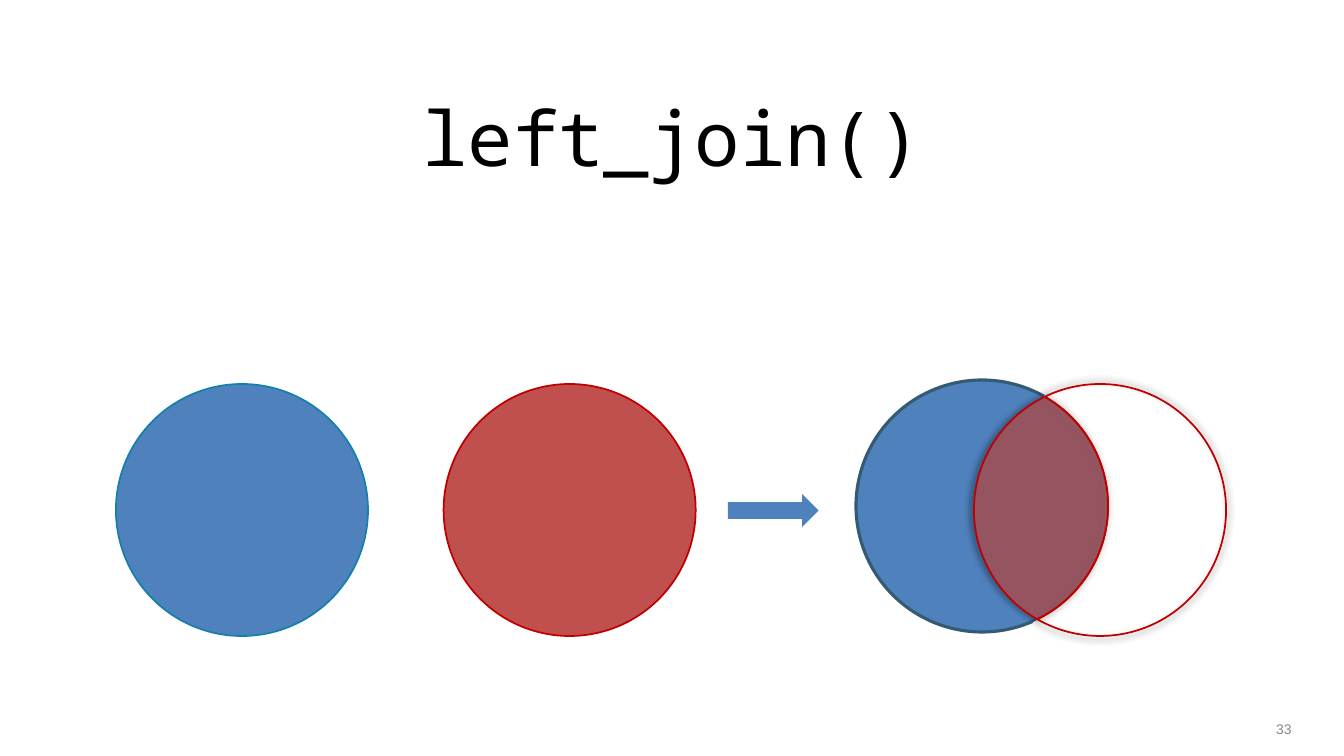
import dataclasses
import math
import typing

import pptx
import pptx.dml.color
import pptx.enum.shapes
import pptx.enum.text
import pptx.oxml
import pptx.oxml.ns
import pptx.util

Inches = pptx.util.Inches
Preset = pptx.enum.shapes.MSO_SHAPE
Align = pptx.enum.text.PP_ALIGN
Point = typing.Tuple[float, float]


@dataclasses.dataclass(frozen=True)
class Theme:
    blue: str = "4F81BD"
    teal: str = "1580A9"
    slate: str = "335B74"
    red: str = "C0504D"
    dark_red: str = "C00000"
    white: str = "FFFFFF"
    black: str = "000000"
    grey: str = "888888"
    title_font: str = "Noto Sans Mono"
    body_font: str = "Arial"
    title_size: float = 54
    number_size: float = 10
    thin: float = 1.25
    thick: float = 2.25


@dataclasses.dataclass(frozen=True)
class Shadow:
    blur: float
    distance: float
    direction: int
    scale: int
    alignment: str


@dataclasses.dataclass(frozen=True)
class Style:
    fill: typing.Optional[str] = None
    line: typing.Optional[str] = None
    width: float = 1.25
    opacity: int = 100
    shadow: typing.Optional[Shadow] = None


@dataclasses.dataclass(frozen=True)
class Circle:
    x: float
    y: float
    radius: float

    def at(self, angle: float, outward: float = 0) -> Point:
        cosine, sine = math.cos(angle), math.sin(angle)
        return (self.x + self.radius * (cosine - outward * sine),
                self.y + self.radius * (sine + outward * cosine))


THEME = Theme()
CENTRE_SHADOW = Shadow(blur=5, distance=0, direction=0, scale=102, alignment="ctr")
LEFT_SHADOW = Shadow(blur=4, distance=3, direction=180, scale=100, alignment="r")


def rgb(value: str) -> pptx.dml.color.RGBColor:
    return pptx.dml.color.RGBColor.from_string(value)


def element(body: str):
    return pptx.oxml.parse_xml(body.replace(" ", f' {pptx.oxml.ns.nsdecls("a")} ', 1))


def add_shadow(shape, shadow: Shadow) -> None:
    effects = shape._element.spPr.find(pptx.oxml.ns.qn("a:effectLst"))
    effects.append(element(
        f'<a:outerShdw blurRad="{pptx.util.Pt(shadow.blur)}" '
        f'dist="{pptx.util.Pt(shadow.distance)}" dir="{shadow.direction * 60000}" '
        f'sx="{shadow.scale * 1000}" sy="{shadow.scale * 1000}" '
        f'algn="{shadow.alignment}" rotWithShape="0">'
        f'<a:srgbClr val="{THEME.black}"><a:alpha val="40000"/></a:srgbClr>'
        '</a:outerShdw>'))


def apply_style(shape, style: Style) -> None:
    shape.shadow.inherit = False
    if style.fill:
        shape.fill.solid()
        shape.fill.fore_color.rgb = rgb(style.fill)
        if style.opacity < 100:
            color = shape.fill._xPr.find(".//" + pptx.oxml.ns.qn("a:srgbClr"))
            color.append(element(f'<a:alpha val="{style.opacity * 1000}"/>'))
    else:
        shape.fill.background()
    if style.line:
        shape.line.color.rgb = rgb(style.line)
        shape.line.width = pptx.util.Pt(style.width)
    else:
        shape.line.fill.background()
    if style.shadow:
        add_shadow(shape, style.shadow)


def add_preset(shapes, preset: Preset, left: float, top: float,
               width: float, height: float, style: Style) -> None:
    shape = shapes.add_shape(preset, Inches(left), Inches(top), Inches(width), Inches(height))
    apply_style(shape, style)


def add_circle(shapes, circle: Circle, style: Style) -> None:
    size = 2 * circle.radius
    add_preset(shapes, Preset.OVAL, circle.x - circle.radius, circle.y - circle.radius,
               size, size, style)


def arc(circle: Circle, start: float, end: float) -> typing.List[Point]:
    quarter = math.pi / 2
    low, high = sorted((start, end))
    turns = [step * quarter for step in range(math.ceil(low / quarter),
                                              math.floor(high / quarter) + 1)]
    angles = sorted([start, *turns, end], reverse=start > end)
    points = []
    for first, last in zip(angles, angles[1:]):
        handle = 4 / 3 * math.tan((last - first) / 4)
        points += [circle.at(first, handle), circle.at(last, -handle), circle.at(last)]
    return points


def crossing(circle: Circle, other: Circle) -> typing.Tuple[float, float]:
    distance = math.hypot(other.x - circle.x, other.y - circle.y)
    direction = math.atan2(other.y - circle.y, other.x - circle.x)
    cosine = (distance ** 2 + circle.radius ** 2 - other.radius ** 2) / (
        2 * distance * circle.radius)
    return direction, math.acos(cosine)


def overlap_outline(left: Circle, right: Circle, crescent: bool) -> typing.List[Point]:
    direction, left_half = crossing(left, right)
    right_half = crossing(right, left)[1]
    facing = direction + math.pi
    if crescent:
        left_half = -left_half
        sweep = (facing + right_half, facing + 2 * math.pi - right_half)
    else:
        sweep = (facing - right_half, facing + right_half)
    return (arc(left, direction - left_half, direction + left_half)
            + arc(right, *sweep))


def add_outline(shapes, points: typing.List[Point], style: Style) -> None:
    corners = [(Inches(x), Inches(y)) for x, y in points]
    builder = shapes.build_freeform(*corners[-1], scale=1.0)
    builder.add_line_segments(corners, close=True)
    shape = builder.convert_to_shape()
    lines = list(shape._element.iter(pptx.oxml.ns.qn("a:lnTo")))
    for index in range(0, len(lines), 3):
        curve = element("<a:cubicBezTo />")
        lines[index].addprevious(curve)
        for line in lines[index:index + 3]:
            curve.append(line[0])
            line.getparent().remove(line)
    apply_style(shape, style)


def add_text(slide, text: str, *, left: float, top: float, width: float, height: float,
             font: str, size: float, color: str, align: Align, margin: float) -> None:
    frame = slide.shapes.add_textbox(
        Inches(left), Inches(top), Inches(width), Inches(height)).text_frame
    frame.word_wrap = True
    frame.vertical_anchor = pptx.enum.text.MSO_ANCHOR.MIDDLE
    frame.margin_left = frame.margin_right = Inches(margin)
    frame.margin_top = frame.margin_bottom = Inches(margin / 2)
    paragraph = frame.paragraphs[0]
    paragraph.alignment = align
    run = paragraph.add_run()
    run.text = text
    run.font.name = font
    run.font.size = pptx.util.Pt(size)
    run.font.color.rgb = rgb(color)


def main() -> None:
    presentation = pptx.Presentation()
    presentation.slide_width, presentation.slide_height = Inches(13.33), Inches(7.5)
    slide = presentation.slides.add_slide(presentation.slide_layouts[6])
    shapes = slide.shapes

    add_text(slide, "left_join()", left=3.07, top=0.93, width=7.19, height=0.85,
             font=THEME.title_font, size=THEME.title_size, color=THEME.black,
             align=Align.CENTER, margin=0)
    add_text(slide, "33", left=11.85, top=7.08, width=1.06, height=0.3,
             font=THEME.body_font, size=THEME.number_size, color=THEME.grey,
             align=Align.RIGHT, margin=0.1)

    add_circle(shapes, Circle(2.4, 5.06, 1.25), Style(THEME.blue, THEME.teal))
    add_circle(shapes, Circle(5.65, 5.06, 1.25), Style(THEME.red, THEME.dark_red))
    add_preset(shapes, Preset.RIGHT_ARROW, 7.22, 4.9, 0.9, 0.33, Style(THEME.blue))

    kept, joined = Circle(9.74, 5.02, 1.25), Circle(10.91, 5.06, 1.25)
    kept_edge, joined_edge = Circle(9.71, 5.02, 1.28), Circle(10.91, 5.08, 1.28)
    group = shapes.add_group_shape()
    add_circle(group.shapes, kept, Style(THEME.blue, THEME.slate, THEME.thick))
    add_outline(group.shapes, overlap_outline(kept_edge, joined_edge, crescent=True),
                Style(THEME.white, THEME.white))
    add_outline(shapes, overlap_outline(kept, joined, crescent=True),
                Style(line=THEME.dark_red, shadow=CENTRE_SHADOW))
    add_outline(shapes, overlap_outline(kept, joined, crescent=False),
                Style(THEME.red, THEME.dark_red, opacity=68, shadow=LEFT_SHADOW))

    presentation.save("out.pptx")


if __name__ == "__main__":
    main()
